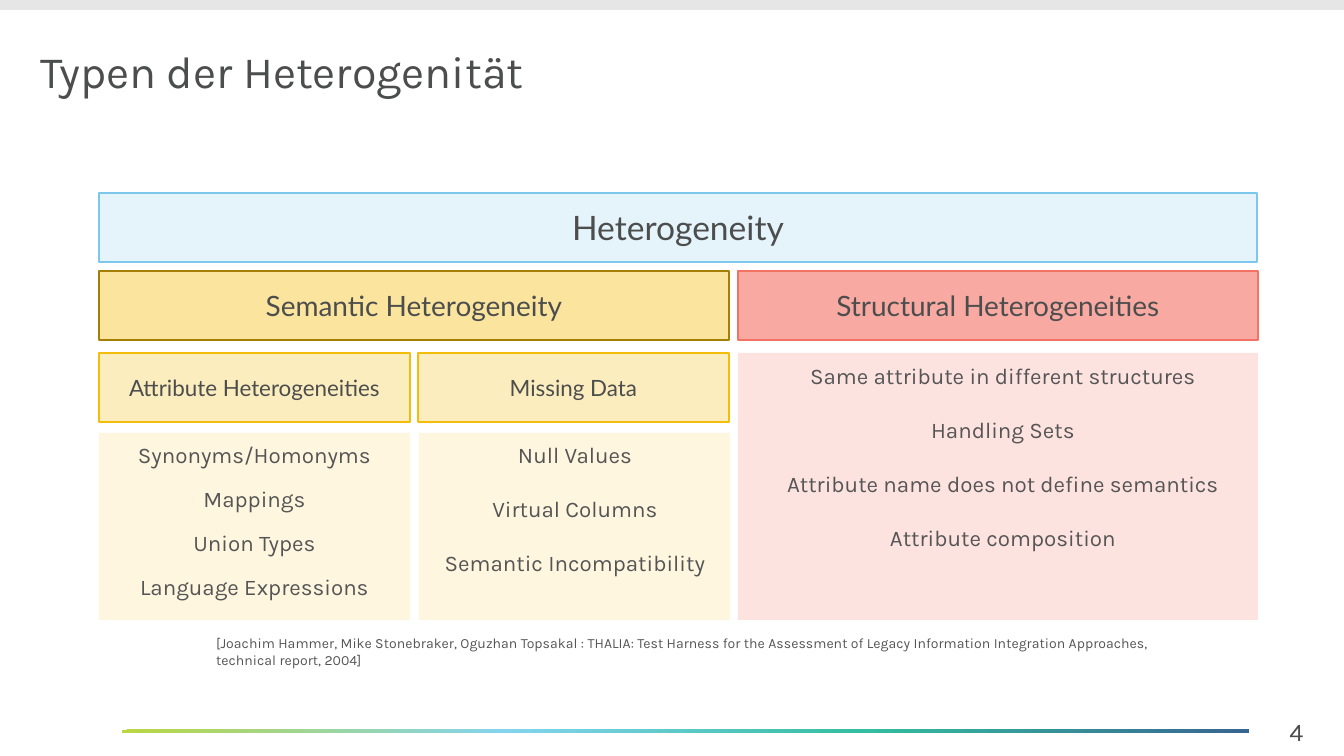
"""Build the slide on types of heterogeneity."""
import lxml.etree
import pptx
import pptx.dml.color
import pptx.enum.shapes
import pptx.enum.text
import pptx.oxml.ns
import pptx.util

PX = 914400 / 134.4
COLORS = {
    "top": "E7E6E6", "dark": "4C4D4D", "grey": "555555",
    "blue": "E5F4FB", "blue_line": "7CC8EC",
    "gold": "FBE59E", "gold_line": "A47E07",
    "yellow": "FCEDBF", "yellow_line": "F4BD0C", "cream": "FEF6DF",
    "red": "F8AAA2", "red_line": "F47264", "pink": "FDE3E0",
}
FOOTER_STOPS = [(0, "BAD641"), (34, "83D4EE"), (66, "34BD9F"), (100, "376591")]
ALIGN = pptx.enum.text.PP_ALIGN
ANCHOR = pptx.enum.text.MSO_ANCHOR


def px(n):
    return pptx.util.Emu(round(n * PX))


def rgb(name):
    return pptx.dml.color.RGBColor.from_string(COLORS[name])


def add_block(text, area, fill=None, line=None, size=12, font="Karla", color="grey",
              align=ALIGN.CENTER, anchor=ANCHOR.TOP, gap=0, spacing=None):
    bounds = [px(n) for n in area]
    if fill:
        block = slide.shapes.add_shape(pptx.enum.shapes.MSO_SHAPE.RECTANGLE, *bounds)
        block.shadow.inherit = False
        block.fill.solid()
        block.fill.fore_color.rgb = rgb(fill)
        if line:
            block.line.color.rgb = rgb(line)
            block.line.width = pptx.util.Pt(1.25)
        else:
            block.line.fill.background()
    else:
        block = slide.shapes.add_textbox(*bounds)
    frame = block.text_frame
    frame.word_wrap = True
    frame.vertical_anchor = anchor
    frame.text = text
    for i, paragraph in enumerate(frame.paragraphs):
        paragraph.alignment = align
        paragraph.line_spacing = spacing
        if i and gap:
            paragraph.space_before = px(gap)
        for run in paragraph.runs:
            run.font.size = pptx.util.Pt(size)
            run.font.name = font
            run.font.color.rgb = rgb(color)
    return block


deck = pptx.Presentation()
deck.slide_width, deck.slide_height = px(1344), px(756)
slide = deck.slides.add_slide(deck.slide_layouts[6])

add_block("", (0, 0, 1344, 10), fill="top")
footer = add_block("", (122, 730, 1127, 3), fill="top")
footer.fill.gradient()
footer.fill.gradient_angle = 315
qn = pptx.oxml.ns.qn
stops = footer.fill.gradient_stops
stop_list = footer.element.spPr.find(qn("a:gradFill")).find(qn("a:gsLst"))
for stop in list(stop_list):
    stop_list.remove(stop)
for position, color in FOOTER_STOPS:
    stop = lxml.etree.SubElement(stop_list, qn("a:gs"), pos=str(position * 1000))
    lxml.etree.SubElement(stop, qn("a:srgbClr"), val=color)

add_block("4", (1257, 710, 79, 44), size=13.5, color="dark")
add_block("Typen der Heterogenität", (27, 42, 847, 63), size=24, color="dark",
          align=ALIGN.LEFT, anchor=ANCHOR.MIDDLE, spacing=0.9)

columns = [
    ((99, 433, 311, 187), (99, 435, 311, 179), "cream", "cream", 17,
     ["Synonyms/Homonyms", "Mappings", "Union Types", "Language Expressions"]),
    ((419, 433, 311, 187), (421, 435, 308, 149), "cream", "cream", 27,
     ["Null Values", "Virtual Columns", "Semantic Incompatibility"]),
    ((738, 353, 520, 267), (738, 356, 530, 203), "pink", None, 27,
     ["Same attribute in different structures", "Handling Sets",
      "Attribute name does not define semantics", "Attribute composition"]),
]
for panel, content, panel_fill, content_fill, gap, items in columns:
    add_block("", panel, fill=panel_fill)
    add_block("\n".join(items), content, fill=content_fill, gap=gap)

add_block("[Joachim Hammer, Mike Stonebraker, Oguzhan Topsakal : THALIA: Test Harness for the "
          "Assessment of Legacy Information Integration Approaches, technical report, 2004]",
          (203, 628, 1003, 31), size=7.5, align=ALIGN.LEFT)

headings = [
    ("Heterogeneity", 99, 193, 1158, "blue", 18),
    ("Semantic Heterogeneity", 99, 271, 630, "gold", 15),
    ("Structural Heterogeneities", 738, 271, 520, "red", 15),
    ("Missing Data", 418, 353, 311, "yellow", 12),
    ("Attribute Heterogeneities", 99, 353, 311, "yellow", 12),
]
for text, left, top, width, hue, size in headings:
    add_block(text, (left, top, width, 69), fill=hue, line=hue + "_line", size=size,
              font="Lato", color="dark", anchor=ANCHOR.MIDDLE)

deck.save("out.pptx")
